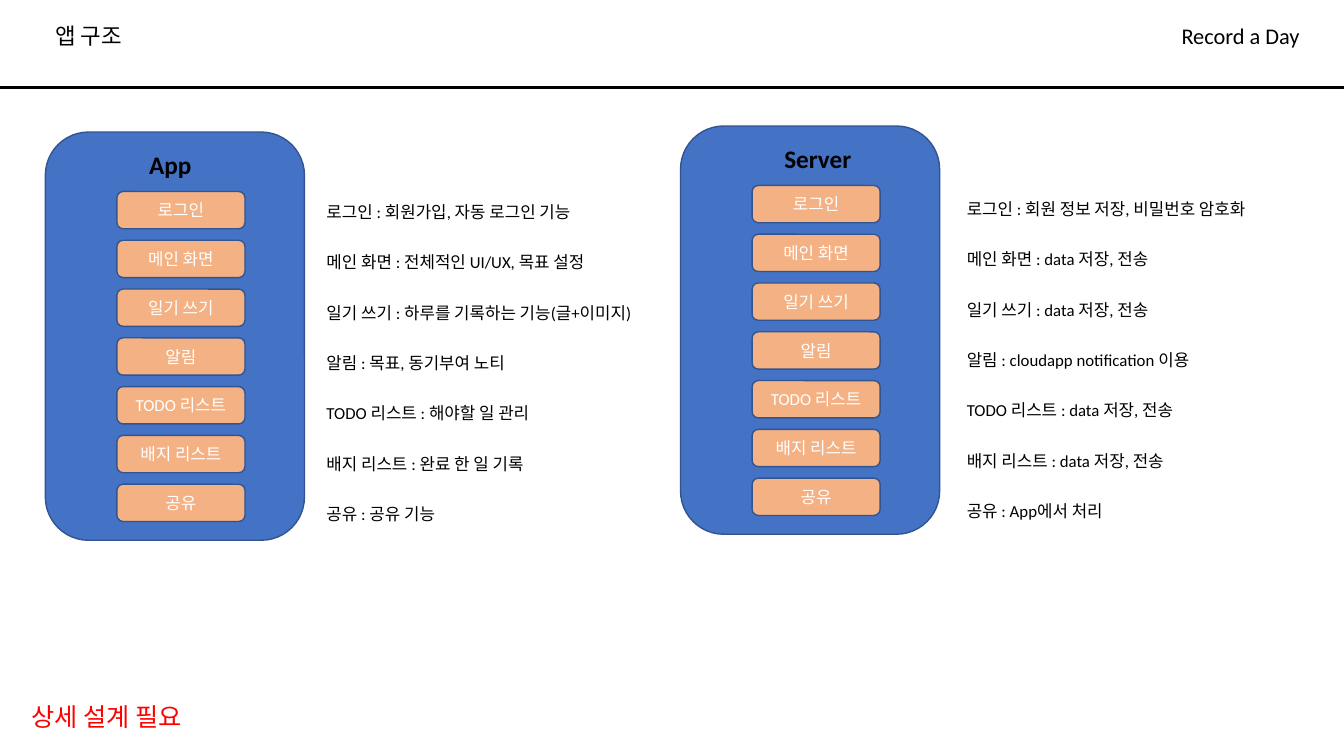
from pptx import Presentation
from pptx.dml.color import RGBColor
from pptx.enum.shapes import MSO_CONNECTOR, MSO_SHAPE
from pptx.enum.text import MSO_ANCHOR, PP_ALIGN
from pptx.oxml.ns import qn
from pptx.util import Inches, Pt
from lxml.etree import SubElement

# Content
TITLE = "앱 구조"
APP_NAME = "Record a Day"
REMARK = "상세 설계 필요"
FEATURES = ["로그인", "메인 화면", "일기 쓰기", "알림", "TODO 리스트", "배지 리스트", "공유"]
SIDES = [
    {"heading": "App", "left": 0.45, "top": 1.31, "heading_width": 0.71,
     "details_at": (3.14, 1.65, 3.44, 3.55),
     "details": ["회원가입, 자동 로그인 기능", "전체적인 UI/UX, 목표 설정",
                 "하루를 기록하는 기능(글+이미지)", "목표, 동기부여 노티",
                 "해야할 일 관리", "완료 한 일 기록", "공유 기능"]},
    {"heading": "Server", "left": 6.75, "top": 1.25, "heading_width": 0.91,
     "details_at": (9.49, 1.62, 3.78, 3.55),
     "details": ["회원 정보 저장, 비밀번호 암호화", "data 저장, 전송", "data 저장, 전송",
                 "cloudapp notification 이용", "data 저장, 전송", "data 저장, 전송",
                 "App에서 처리"]},
]

# Style
FONT = "Calibri"
BLACK, WHITE, RED = "000000", "FFFFFF", "FF0000"
PANEL_BLUE, BUTTON_ORANGE, OUTLINE = "4472C4", "F4B183", "325491"
PANEL_SIZE = (2.57, 4.05)
BUTTON_SIZE = (1.27, 0.37)
BUTTON_OFFSET = (0.71, 0.59)
BUTTON_STEP = 0.484


def color(value):
    return RGBColor.from_string(value)


def write(shape, lines, size, ink, bold=False, align=PP_ALIGN.LEFT,
          anchor=MSO_ANCHOR.TOP, spacing=None):
    frame = shape.text_frame
    frame.word_wrap = True
    frame.vertical_anchor = anchor
    frame.text = "\n".join(lines)
    for paragraph in frame.paragraphs:
        paragraph.alignment = align
        if spacing:
            paragraph.line_spacing = spacing
        for run in paragraph.runs:
            run.font.name = FONT
            run.font.size = Pt(size)
            run.font.bold = bold
            run.font.color.rgb = color(ink)


def add_text(shapes, box, lines, size, ink=BLACK, **style):
    write(shapes.add_textbox(*map(Inches, box)), lines, size, ink, **style)


def add_rounded(shapes, box, fill):
    shape = shapes.add_shape(MSO_SHAPE.ROUNDED_RECTANGLE, *map(Inches, box))
    shape.shadow.inherit = False
    shape.fill.solid()
    shape.fill.fore_color.rgb = color(fill)
    shape.line.color.rgb = color(OUTLINE)
    shape.line.width = Pt(1)
    return shape


deck = Presentation()
deck.slide_width, deck.slide_height = Inches(13.33), Inches(7.5)
slide = deck.slides.add_slide(deck.slide_layouts[6])

# Header with rule
for label, left, width in [(TITLE, 0.45, 0.93), (APP_NAME, 11.62, 1.48)]:
    add_text(slide.shapes, (left, 0.19, width, 0.35), [label], 16,
             anchor=MSO_ANCHOR.MIDDLE, spacing=0.9)
rule = slide.shapes.add_connector(MSO_CONNECTOR.STRAIGHT, 0, Inches(0.87),
                                  deck.slide_width, Inches(0.87))
rule.line.color.rgb = color(BLACK)
rule.line.width = Pt(2)
SubElement(rule._element.spPr, qn("a:effectLst"))

# App and server: panel with feature buttons, details beside it
for side in SIDES:
    left, top = side["left"], side["top"]
    panel = slide.shapes.add_group_shape().shapes
    add_rounded(panel, (left, top, *PANEL_SIZE), PANEL_BLUE)
    add_text(panel, (left + 0.93, top + 0.12, side["heading_width"], 0.4),
             [side["heading"]], 18, bold=True)
    for row, feature in enumerate(FEATURES):
        button_top = top + BUTTON_OFFSET[1] + row * BUTTON_STEP
        button = add_rounded(panel, (left + BUTTON_OFFSET[0], button_top, *BUTTON_SIZE),
                             BUTTON_ORANGE)
        write(button, [feature], 12, WHITE, align=PP_ALIGN.CENTER, anchor=MSO_ANCHOR.MIDDLE)
    details = [f"{feature} : {detail}" for feature, detail in zip(FEATURES, side["details"])]
    add_text(slide.shapes, side["details_at"], details, 12, spacing=2.5)

# Remark at the bottom
add_text(slide.shapes, (0.21, 6.91, 1.88, 0.4), [REMARK], 18, RED)

deck.save("out.pptx")
